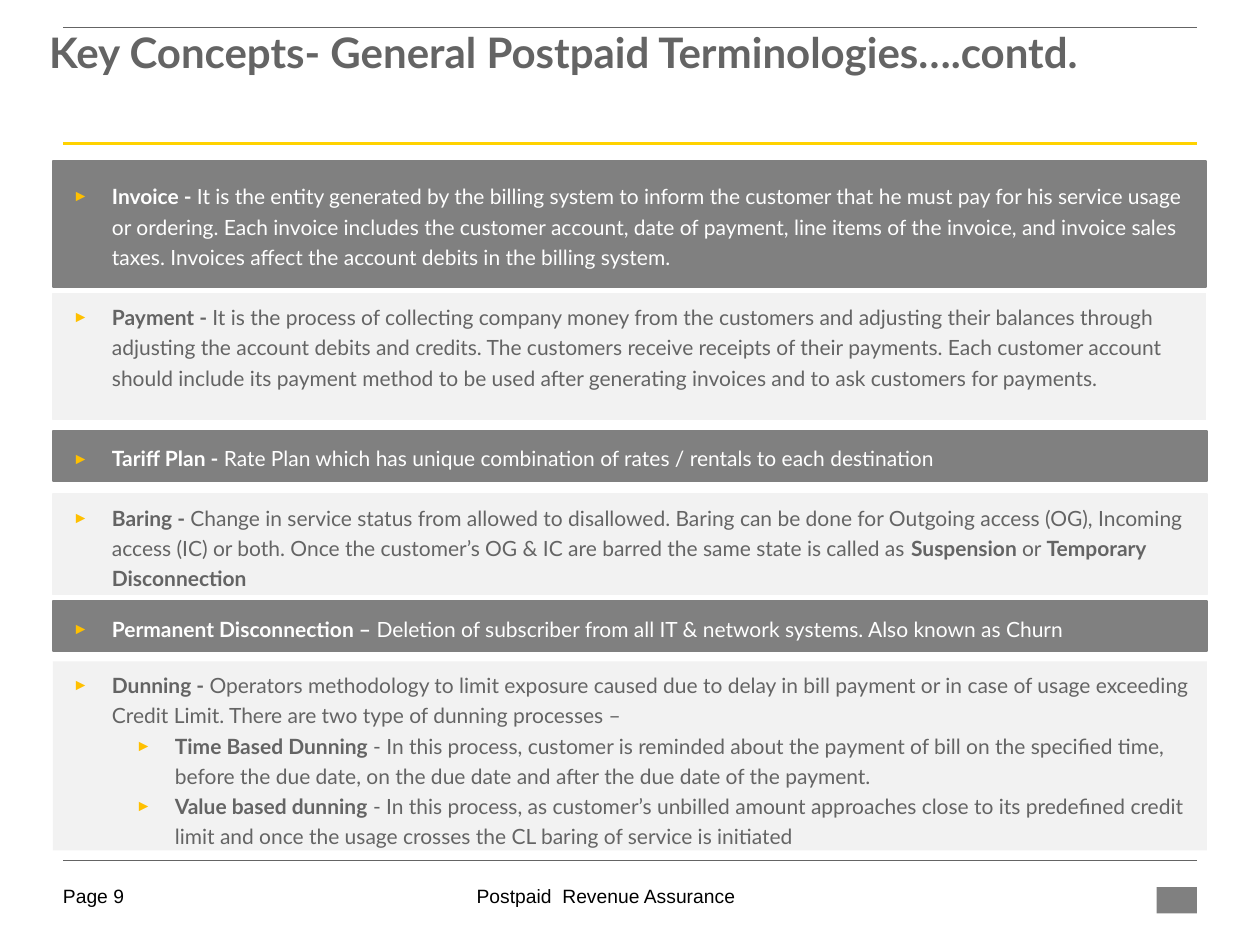
from lxml import etree
from pptx import Presentation
from pptx.dml.color import RGBColor
from pptx.enum.shapes import MSO_CONNECTOR, MSO_SHAPE
from pptx.enum.text import MSO_ANCHOR, MSO_AUTO_SIZE, PP_ALIGN
from pptx.oxml.ns import qn
from pptx.util import Pt

PX = 9144
WHITE = RGBColor(0xFF, 0xFF, 0xFF)
BLACK = RGBColor(0x00, 0x00, 0x00)
TEXT_GREY = RGBColor(0x64, 0x64, 0x64)
DARK = RGBColor(0x80, 0x80, 0x80)
LIGHT = RGBColor(0xF2, 0xF2, 0xF2)
YELLOW = RGBColor(0xFF, 0xD2, 0x00)
AMBER = RGBColor(0xFF, 0xC0, 0x00)
RECT = MSO_SHAPE.RECTANGLE
STRAIGHT = MSO_CONNECTOR.STRAIGHT
TOP, MIDDLE = MSO_ANCHOR.TOP, MSO_ANCHOR.MIDDLE
LEFT, CENTER = PP_ALIGN.LEFT, PP_ALIGN.CENTER
NO_AUTOFIT = MSO_AUTO_SIZE.NONE

TITLE = "Key Concepts- General Postpaid Terminologies….contd."
RULES = [(22, TEXT_GREY, 0.5), (114, YELLOW, 1.5), (683, TEXT_GREY, 0.25)]

# Each band: top, width, height, dark, outline width, paragraphs of (level, alternating bold and regular runs)
BANDS = [
    (128, 915, 100, True, 1, [(0, [
        "Invoice - ",
        "It is the entity generated by the billing system to inform the customer that he must pay "
        "for his service usage or ordering. Each invoice includes the customer account, date of "
        "payment, line items of the invoice, and invoice sales taxes. Invoices affect the account "
        "debits in the billing system."])]),
    (233, 915, 100, False, 0.75, [(0, [
        "Payment - ",
        "It is the process of collecting company money from the customers and adjusting their "
        "balances through adjusting the account debits and credits. The customers receive receipts "
        "of their payments. Each customer account should include its payment method to be used "
        "after generating invoices and to ask customers for payments."])]),
    (342, 916, 40, True, 1, [(0, [
        "Tariff Plan - ",
        "Rate Plan which has unique combination of rates / rentals to each destination"])]),
    (392, 916, 80, False, 0.75, [(0, [
        "Baring - ",
        "Change in service status from allowed to disallowed. Baring can be done for Outgoing "
        "access (OG), Incoming access (IC) or both. Once the customer’s OG & IC are barred the "
        "same state is called as ",
        "Suspension ", "or ", "Temporary Disconnection"])]),
    (477, 916, 40, True, 1, [(0, [
        "Permanent Disconnection – ",
        "Deletion of subscriber from all IT & network systems. Also known as Churn"])]),
    (525, 916, 150, False, 0, [
        (0, [
            "Dunning - ",
            "Operators methodology to limit exposure caused due to delay in bill payment or in case "
            "of usage exceeding Credit Limit. There are two type of dunning processes –"]),
        (1, [
            "Time Based Dunning ",
            "- In this process, customer is reminded about the payment of bill on the specified "
            "time, before the due date, on the due date and after the due date of the payment."]),
        (1, [
            "Value based dunning",
            " - In this process, as customer’s unbilled amount approaches close to its predefined "
            "credit limit and once the usage crosses the CL baring of service is initiated"])]),
]


class Deck:
    font = "Lato"
    footer_font = "Arial"

    def __init__(self, width, height):
        self.prs = Presentation()
        self.prs.slide_width, self.prs.slide_height = width * PX, height * PX
        self.s = self.prs.slides.add_slide(self.prs.slide_layouts[5])

    def run(self, p, text, size, color, bold=False, font=None):
        r = p.add_run()
        r.text = text
        r.font.name = font or self.font
        r.font.size = Pt(size)
        r.font.bold = bold
        r.font.color.rgb = color

    def bullet(self, p, level):
        p.level = level
        pPr = p._p.get_or_add_pPr()
        pPr.set("marL", str((37 + 50 * level) * PX))
        pPr.set("indent", str(-31 * PX))
        clr = etree.SubElement(pPr, qn("a:buClr"))
        etree.SubElement(clr, qn("a:srgbClr"), val=str(AMBER))
        etree.SubElement(pPr, qn("a:buSzPct"), val="75000")
        etree.SubElement(pPr, qn("a:buFont"), typeface="Arial")
        etree.SubElement(pPr, qn("a:buChar"), char="►")

    def title(self, x, y, w, h, text):
        sp = self.s.shapes.title
        sp.left, sp.top, sp.width, sp.height = (v * PX for v in (x, y, w, h))
        tf = sp.text_frame
        tf.auto_size = NO_AUTOFIT
        tf.word_wrap = True
        tf.vertical_anchor = TOP
        p = tf.paragraphs[0]
        p.alignment = LEFT
        p.line_spacing = 0.85
        self.run(p, text, 24, TEXT_GREY, True)

    def rule(self, x1, x2, y, color, weight):
        line = self.s.shapes.add_connector(STRAIGHT, x1 * PX, y * PX, x2 * PX, y * PX)
        line.line.color.rgb = color
        line.line.width = Pt(weight)
        etree.SubElement(line._element.spPr, qn("a:effectLst"))

    def rect(self, x, y, w, h, fill, outline=0):
        sp = self.s.shapes.add_shape(RECT, x * PX, y * PX, w * PX, h * PX)
        sp.shadow.inherit = False
        sp.fill.solid()
        sp.fill.fore_color.rgb = fill
        if outline:
            sp.line.color.rgb = fill
            sp.line.width = Pt(outline)
        else:
            sp.line.fill.background()
        return sp

    def band(self, x, y, w, h, dark, outline, paragraphs):
        tf = self.rect(x, y, w, h, DARK if dark else LIGHT, outline).text_frame
        tf.word_wrap = True
        tf.vertical_anchor = MIDDLE if dark else TOP
        for i, (level, runs) in enumerate(paragraphs):
            p = tf.add_paragraph() if i else tf.paragraphs[0]
            self.bullet(p, level)
            p.alignment = LEFT
            p.line_spacing = 1.2
            for j, text in enumerate(runs):
                self.run(p, text, 12, WHITE if dark else TEXT_GREY, j % 2 == 0)

    def footer(self, x, y, w, h, text, align):
        tf = self.s.shapes.add_textbox(x * PX, y * PX, w * PX, h * PX).text_frame
        tf.margin_left = tf.margin_right = tf.margin_top = tf.margin_bottom = 0
        tf.word_wrap = True
        p = tf.paragraphs[0]
        p.alignment = align
        self.run(p, text, 11, BLACK, font=self.footer_font)


def main():
    deck = Deck(1000, 750)
    deck.footer(275, 702, 412, 23, "Postpaid  Revenue Assurance", CENTER)
    deck.footer(50, 702, 73, 22, "Page 9", LEFT)
    for y, color, weight in RULES:
        deck.rule(50, 950, y, color, weight)
    deck.rect(918, 704, 32, 21, DARK)
    deck.title(29, 22, 950, 94, TITLE)
    for band in BANDS:
        deck.band(42, *band)
    deck.prs.save("out.pptx")


if __name__ == "__main__":
    main()
